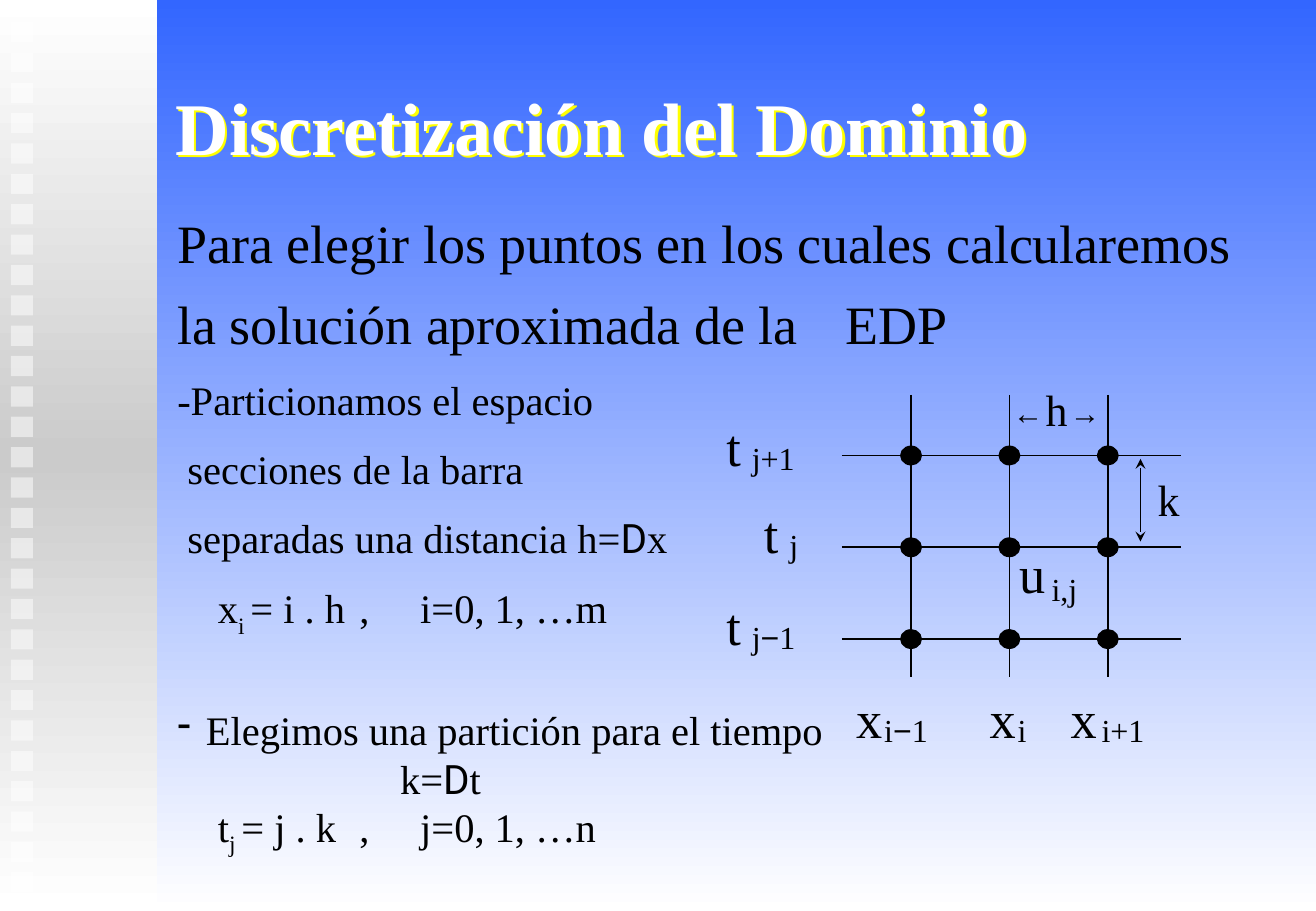
from lxml import etree
from pptx import Presentation
from pptx.dml.color import RGBColor
from pptx.enum.shapes import MSO_CONNECTOR, MSO_SHAPE
from pptx.enum.text import MSO_ANCHOR, MSO_AUTO_SIZE, PP_ALIGN
from pptx.oxml.ns import qn
from pptx.util import Pt

STRAIGHT = MSO_CONNECTOR.STRAIGHT
RECTANGLE, OVAL = MSO_SHAPE.RECTANGLE, MSO_SHAPE.OVAL
MIDDLE, LEFT, NO_FIT = MSO_ANCHOR.MIDDLE, PP_ALIGN.LEFT, MSO_AUTO_SIZE.NONE

BLACK = RGBColor(0, 0, 0)
WHITE = RGBColor(255, 255, 255)
BLUE = RGBColor(0x33, 0x66, 0xFF)
GRAY = RGBColor(0xCB, 0xCB, 0xCB)
YELLOW = RGBColor(255, 255, 0)
SERIF, SANS, DELTA = "Times New Roman", "Arial", "Roboto"

WIDTH, HEIGHT = 780, 540
TITLE = "Discretización del Dominio"
LOOSE, TIGHT = 1.25, 1

# Body: runs as (text, font, baseline), size, line spacing, space before, indent, tab stops
BODY = [
    ([("Para elegir los puntos en los cuales calcularemos la solución aproximada de la\tEDP", SERIF, 0)],
     32, LOOSE, 6.4, 0, [391]),
    ([("-Particionamos el espacio", SERIF, 0)], 24, LOOSE, 4.8, 0, []),
    ([("secciones de la barra", SERIF, 0)], 24, LOOSE, 4.8, 6, []),
    ([("separadas una distancia h=", SERIF, 0), ("D", DELTA, 0), ("x", SERIF, 0)], 24, LOOSE, 4.8, 6, []),
    ([("x", SERIF, 0), ("i ", SERIF, -25), ("= i . h\t,\ti=0, 1, …m", SERIF, 0)],
     24, LOOSE, 4.8, 24, [117, 141.6]),
    ([("Elegimos una partición para el tiempo", SERIF, 0)], 24, TIGHT, 39.3, -17, []),
    ([("k=", SERIF, 0), ("D", DELTA, 0), ("t", SERIF, 0)], 24, TIGHT, 0, 132, []),
    ([("t", SERIF, 0), ("j ", SERIF, -25), ("= j . k\t,\tj=0, 1, …n", SERIF, 0)],
     24, TIGHT, 0, 24, [112, 141.6]),
]

# Grid labels: symbol, index, left, top, offset of the index
T_OFFSET, X_OFFSET, U_OFFSET = (15.1, 14.4), (16.6, 14.4), (19.3, 16.5)
INDEXED = [
    ("t", "j+1", 423.4, 242, T_OFFSET),
    ("t", "j", 445.7, 293.8, T_OFFSET),
    ("t", "j−1", 423.4, 347.8, T_OFFSET),
    ("x", "i−1", 500.4, 403.2, X_OFFSET),
    ("x", "i", 579.5, 403.2, X_OFFSET),
    ("x", "i+1", 627.5, 403.2, (18.3, 14.4)),
    ("u", "i,j", 596.9, 317.5, U_OFFSET),
]
STEP_LABELS = [
    ("←", 18, SANS, 593.3, 230.4),
    ("h", 26, SERIF, 612.7, 223.2),
    ("→", 18, SANS, 627.1, 230.4),
    ("k", 26, SERIF, 679, 276.5),
]
COLUMNS = [540 + 58.3 * step for step in range(3)]
ROWS = [270 + 54.4 * step for step in range(3)]
GRID_LEFT, GRID_RIGHT, GRID_TOP, GRID_BOTTOM = 499, 700, 234, 401.5
NODE_WIDTH, NODE_HEIGHT = 12, 10.8
STEP_ARROW = (676, 272, 676, 321)

SQUARE_COUNT, SQUARE_PITCH = 29, 18
SQUARE_LEFT, SQUARE_TOP, SQUARE_WIDTH, SQUARE_HEIGHT = 6.5, 13, 13, 12


def add_child(parent, tag, **attributes):
    """Append a DrawingML element and return it."""
    child = etree.SubElement(parent, qn(tag))
    for name, value in attributes.items():
        child.set(name, str(value))
    return child


def paint_vertical(fill, element, colors):
    """Fill from top to bottom with evenly spaced colours."""
    fill.gradient()
    fill.gradient_angle = 270
    stops = element.find(".//" + qn("a:gsLst"))
    for stop in list(stops):
        stops.remove(stop)
    for index, color in enumerate(colors):
        stop = add_child(stops, "a:gs", pos=100000 * index // (len(colors) - 1))
        add_child(stop, "a:srgbClr", val=color)


def add_solid(page, kind, left, top, width, height, color):
    """Add a preset shape without line or shadow."""
    shape = page.shapes.add_shape(kind, Pt(left), Pt(top), Pt(width), Pt(height))
    shape.shadow.inherit = False
    shape.fill.solid()
    shape.fill.fore_color.rgb = color
    shape.line.fill.background()
    return shape


def add_line(page, start_x, start_y, end_x, end_y):
    """Add a thin black line."""
    line = page.shapes.add_connector(STRAIGHT, Pt(start_x), Pt(start_y), Pt(end_x), Pt(end_y))
    line.line.color.rgb = BLACK
    line.line.width = Pt(1)
    add_child(line._element.spPr, "a:effectLst")
    return line


def add_span(para, text, size, font=SERIF, color=BLACK):
    """Add one formatted run."""
    span = para.add_run()
    span.text = text
    span.font.size = Pt(size)
    span.font.name = font
    span.font.color.rgb = color
    return span


def add_box(page, left, top, width, height):
    """Add a wrapping text box and return its frame."""
    frame = page.shapes.add_textbox(Pt(left), Pt(top), Pt(width), Pt(height)).text_frame
    frame.word_wrap = True
    return frame


def add_label(page, text, size, font, left, top):
    """Add a short grid label; a minus sign is set in the sans font."""
    para = add_box(page, left, top, 60, size * 1.15 + 7.2).paragraphs[0]
    for part in text.replace("−", " − ").split():
        add_span(para, part, size, SANS if part == "−" else font)


def add_sidebar(page):
    """Draw the shaded strip with its column of squares."""
    strip = add_solid(page, RECTANGLE, 0, 0, 93, HEIGHT, WHITE)
    paint_vertical(strip.fill, strip._element, [WHITE, GRAY, WHITE])
    for index in range(SQUARE_COUNT):
        square = add_solid(page, RECTANGLE, SQUARE_LEFT, SQUARE_TOP + index * SQUARE_PITCH,
                           SQUARE_WIDTH, SQUARE_HEIGHT, WHITE)
        add_child(square._element.spPr.find(".//" + qn("a:srgbClr")), "a:alpha", val=50000)


def set_title(page):
    """Place the title and give it a yellow shadow."""
    title = page.shapes.title
    title.left, title.top, title.width, title.height = Pt(97), Pt(48), Pt(663), Pt(53.5)
    frame = title.text_frame
    frame.vertical_anchor = MIDDLE
    frame.auto_size = NO_FIT
    frame.paragraphs[0].alignment = LEFT
    add_span(frame.paragraphs[0], TITLE, 44, color=WHITE).font.bold = True
    effects = add_child(title._element.spPr, "a:effectLst")
    shadow = add_child(effects, "a:outerShdw", dist=Pt(1.8), dir=2700000, algn="ctr", rotWithShape=0)
    add_child(shadow, "a:srgbClr", val=YELLOW)


def add_body(page):
    """Write the explanation; a negative indent hangs a dash bullet."""
    frame = add_box(page, 98, 111, 644, 429)
    for index, (spans, size, spacing, before, indent, tabs) in enumerate(BODY):
        para = frame.add_paragraph() if index else frame.paragraphs[0]
        para.line_spacing = spacing
        para.space_before = Pt(before)
        properties = para._p.get_or_add_pPr()
        properties.set("marL", str(Pt(max(0, -indent))))
        properties.set("indent", str(Pt(indent)))
        if indent < 0:
            add_child(properties, "a:buChar", char="-")
        if tabs:
            tab_list = add_child(properties, "a:tabLst")
            for position in tabs:
                add_child(tab_list, "a:tab", pos=Pt(position), algn="l")
        for text, font, baseline in spans:
            span = add_span(para, text, size, font)
            if baseline:
                span.font._element.set("baseline", str(baseline * 1000))


def add_grid(page):
    """Draw the mesh, its nodes, the step arrow and all labels."""
    for x in COLUMNS:
        add_line(page, x, GRID_TOP, x, GRID_BOTTOM)
    for y in ROWS:
        add_line(page, GRID_LEFT, y, GRID_RIGHT, y)
        for x in COLUMNS:
            node = add_solid(page, OVAL, x - NODE_WIDTH / 2, y - NODE_HEIGHT / 2,
                             NODE_WIDTH, NODE_HEIGHT, BLACK)
            node.line.color.rgb = BLACK
            node.line.width = Pt(1)
    outline = add_line(page, *STEP_ARROW).line._get_or_add_ln()
    for end in ("a:headEnd", "a:tailEnd"):
        add_child(outline, end, type="stealth")
    for label in STEP_LABELS:
        add_label(page, *label)
    for symbol, index, left, top, (shift, drop) in INDEXED:
        add_label(page, symbol, 31, SERIF, left, top)
        add_label(page, index, 19, SERIF, left + shift, top + drop)


deck = Presentation()
deck.slide_width, deck.slide_height = Pt(WIDTH), Pt(HEIGHT)
page = deck.slides.add_slide(deck.slide_layouts[5])
paint_vertical(page.background.fill, page._element, [BLUE, WHITE])
add_sidebar(page)
set_title(page)
add_body(page)
add_grid(page)
deck.save("out.pptx")
